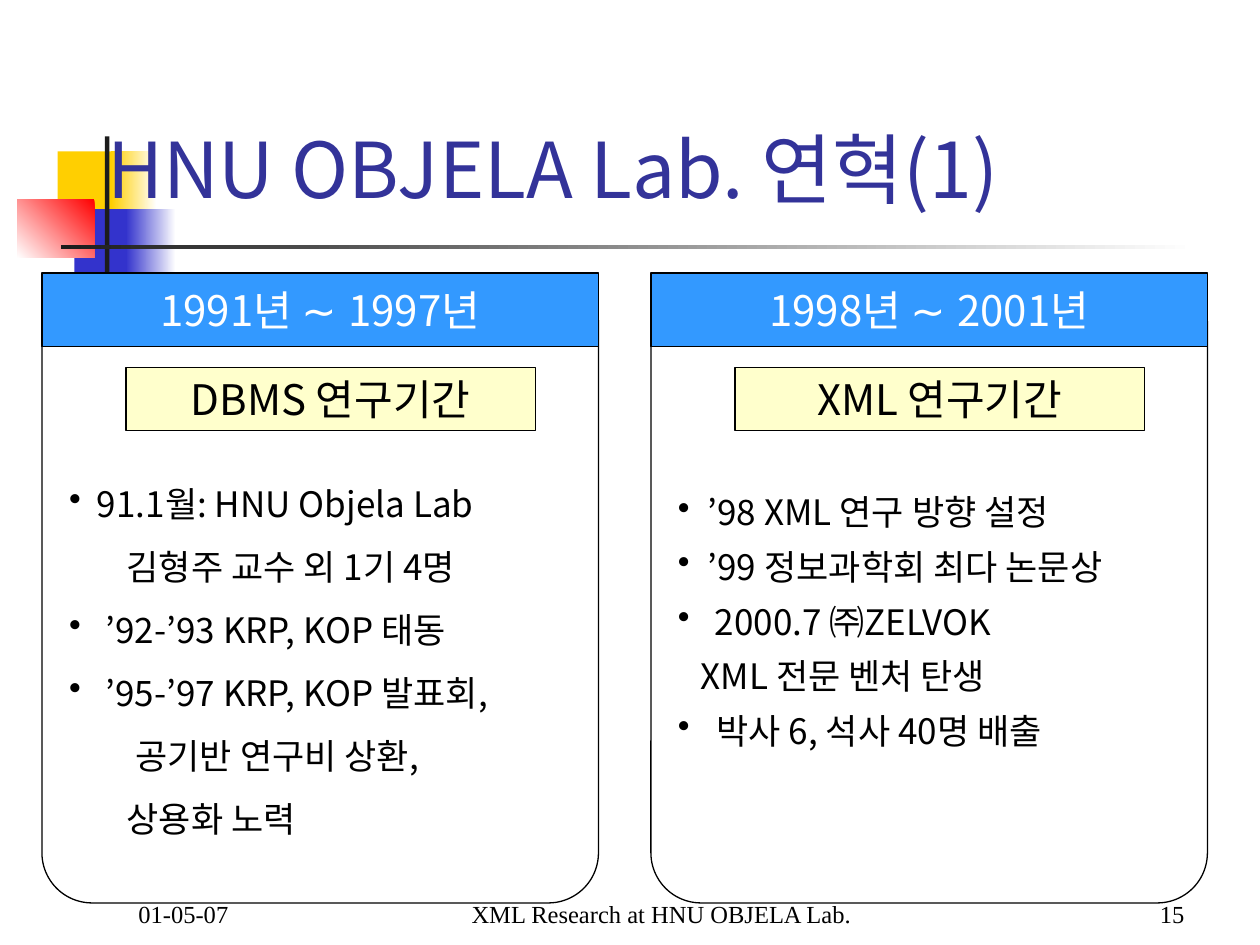
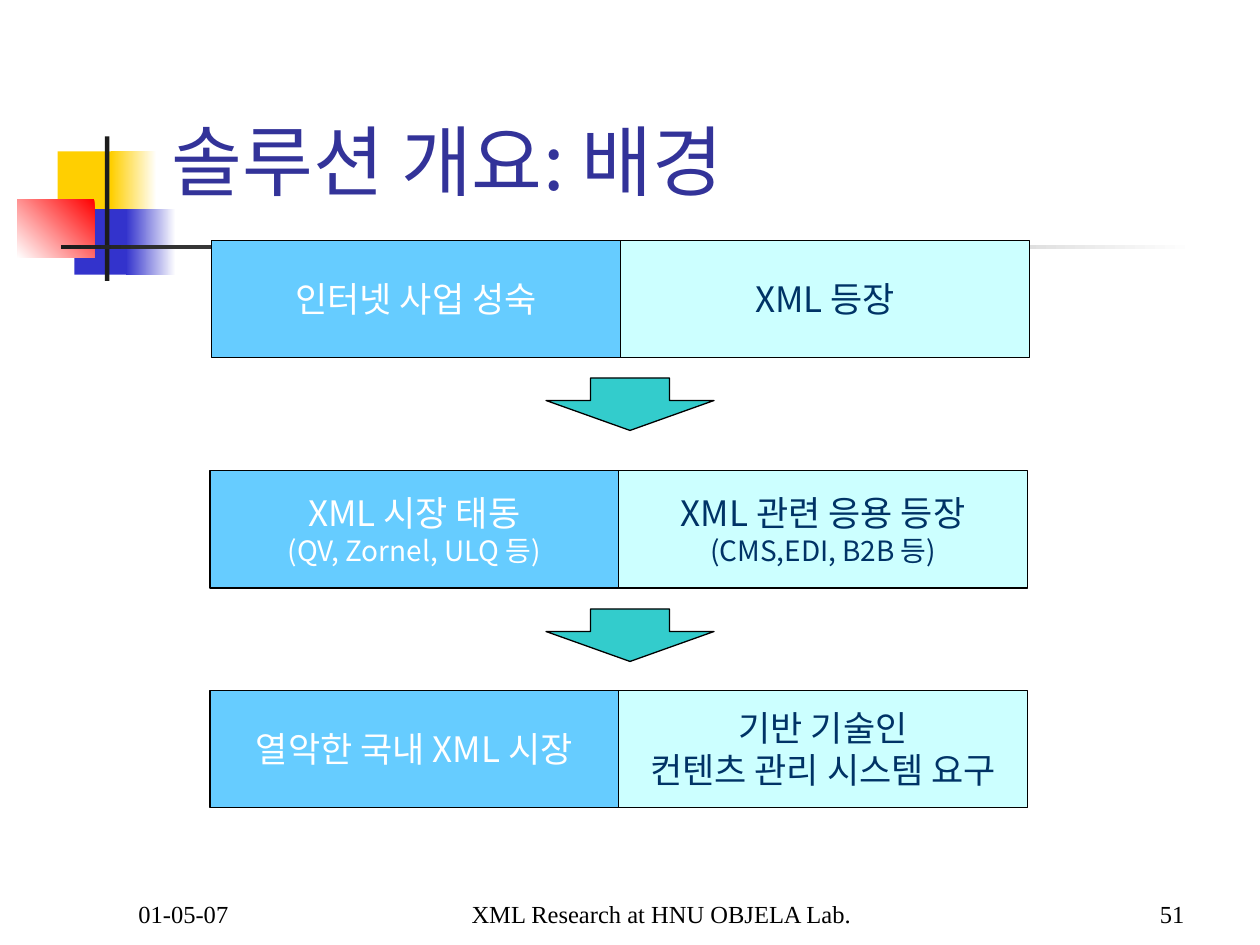
import dataclasses
import typing

import lxml.etree
import pptx
import pptx.dml.color
import pptx.enum.shapes
import pptx.enum.text
import pptx.oxml.ns
import pptx.util

Pt = pptx.util.Pt
Kind = pptx.enum.shapes.MSO_SHAPE
Align = pptx.enum.text.PP_ALIGN
Anchor = pptx.enum.text.MSO_ANCHOR
qn = pptx.oxml.ns.qn


@dataclasses.dataclass(frozen=True)
class Theme:
    sans: str = "Noto Sans CJK KR"
    serif: str = "Times New Roman"
    sign: str = "Arial"
    black: str = "000000"
    white: str = "FFFFFF"
    ink: str = "1C1C1C"
    gold: str = "FFCF01"
    blue: str = "3333CC"
    red: str = "FF0000"
    title: str = "333399"
    head: str = "3399FF"
    cream: str = "FFFFCC"
    sky: str = "66CCFF"
    ice: str = "CCFFFF"
    navy: str = "003366"
    teal: str = "33CCCC"
    huge: float = 44
    large: float = 24
    base: float = 20
    small: float = 16
    foot: float = 14
    edge: float = 0.75


T = Theme()


class Rect(typing.NamedTuple):
    left: float
    top: float
    width: float
    height: float


class Run(typing.NamedTuple):
    text: str
    size: float
    color: str
    font: str = T.sans


@dataclasses.dataclass(frozen=True)
class Line:
    runs: list[Run]
    align: Align = Align.LEFT
    space: float | None = None
    indent: float = 0
    dot: bool = False


@dataclasses.dataclass(frozen=True)
class Block:
    rect: Rect
    start: str
    end: str = ""
    angle: float = 180


@dataclasses.dataclass(frozen=True)
class Item:
    text: str
    indent: float
    dot: bool = True


@dataclasses.dataclass(frozen=True)
class Panel:
    left: float
    years: tuple[str, str]
    topic: str
    inset: float
    space: float
    items: list[Item]


@dataclasses.dataclass(frozen=True)
class Row:
    left: float
    top: float
    cause: list[tuple[str, float]]
    need: list[tuple[str, float]]


DECOR = [
    Block(Rect(33, 86.5, 34.5, 37.5), T.gold),
    Block(Rect(63.5, 86.5, 26, 37.5), T.white, T.gold),
    Block(Rect(42.5, 119.5, 33, 37.5), T.blue),
    Block(Rect(72, 119.5, 28.5, 37.5), T.white, T.blue),
    Block(Rect(10, 113.8, 44, 33.5), T.red, T.white, 225),
    Block(Rect(60, 78, 2.5, 82.5), T.ink),
    Block(Rect(34.8, 140, 648, 2.5), T.white, T.ink),
]

PANELS = [
    Panel(24, ("1991년 ", "1997년"), "DBMS 연구기간", 99.4, 1.5, [
        Item("91.1월: HNU Objela Lab", 16),
        Item("김형주 교수 외 1기 4명", 33, False),
        Item("’92-’93 KRP, KOP 태동", 21),
        Item("’95-’97 KRP, KOP 발표회,", 21),
        Item("공기반 연구비 상환,", 38, False),
        Item("상용화 노력", 33, False),
    ]),
    Panel(372, ("1998년 ", "2001년"), "XML 연구기간", 109, 1.3, [
        Item("’98 XML 연구 방향 설정", 17),
        Item("’99 정보과학회 최다 논문상", 17),
        Item("2000.7 ㈜ZELVOK", 21),
        Item("XML 전문 벤처 탄생", 13, False),
        Item("박사 6, 석사 40명 배출", 22),
    ]),
]

ROWS = [
    Row(121, 137.3, [("인터넷 사업 성숙", T.base)], [("XML 등장", T.base)]),
    Row(120, 269, [("XML 시장 태동", T.base),
                   ("(QV, Zornel, ULQ 등)", T.small)],
        [("XML 관련 응용 등장", T.base), ("(CMS,EDI, B2B 등)", T.small)]),
    Row(120, 394.5, [("열악한 국내 XML 시장", T.base)],
        [("기반 기술인", T.base), ("컨텐츠 관리 시스템 요구", T.base)]),
]


def tint(code: str) -> pptx.dml.color.RGBColor:
    return pptx.dml.color.RGBColor.from_string(code)


def place(shape, rect: Rect) -> None:
    shape.left, shape.top, shape.width, shape.height = map(Pt, rect)


def write(shape, lines: list[Line], anchor: Anchor,
          wrap: bool = True, inset: float = 3.6) -> None:
    frame = shape.text_frame
    frame.auto_size = pptx.enum.text.MSO_AUTO_SIZE.NONE
    frame.word_wrap = wrap
    frame.vertical_anchor = anchor
    frame.margin_left = frame.margin_right = Pt(7.2)
    frame.margin_top, frame.margin_bottom = Pt(inset), Pt(3.6)
    for spot, line in enumerate(lines):
        para = frame.add_paragraph() if spot else frame.paragraphs[0]
        para.alignment = line.align
        para.line_spacing = line.space
        if line.indent:
            props = para._p.get_or_add_pPr()
            props.set("marL", str(Pt(line.indent)))
            props.set("indent", str(-Pt(line.indent) if line.dot else 0))
            if line.dot:
                mark = lxml.etree.SubElement(props, qn("a:buChar"))
                mark.set("char", "•")
        for part in line.runs:
            run = para.add_run()
            run.text = part.text
            run.font.size = Pt(part.size)
            run.font.name = part.font
            run.font.color.rgb = tint(part.color)
    for latin in list(shape.element.iter(qn("a:latin"))):
        east = lxml.etree.Element(qn("a:ea"))
        east.set("typeface", latin.get("typeface"))
        latin.addnext(east)


def draw(slide, kind: Kind, rect: Rect, fill: str, edge: bool = True):
    shape = slide.shapes.add_shape(kind, *map(Pt, rect))
    shape.shadow.inherit = False
    shape.fill.solid()
    shape.fill.fore_color.rgb = tint(fill)
    if edge:
        shape.line.color.rgb = tint(T.black)
        shape.line.width = Pt(T.edge)
    else:
        shape.line.fill.background()
    return shape


def label(slide, rect: Rect, fill: str, rows: list[list[Run]]) -> None:
    box = draw(slide, Kind.RECTANGLE, rect, fill)
    lines = [Line(runs, Align.CENTER) for runs in rows]
    write(box, lines, Anchor.MIDDLE, wrap=False)


def adorn(slide) -> None:
    for block in DECOR:
        shape = draw(slide, Kind.RECTANGLE, block.rect, block.start, False)
        if block.end:
            shape.fill.gradient()
            shape.fill.gradient_angle = block.angle
            for stop, code, spot in zip(shape.fill.gradient_stops,
                                        (block.start, block.end), (0, 1)):
                stop.color.rgb = tint(code)
                stop.position = spot


def begin(deck, text: str, rect: Rect, page: str):
    slide = deck.slides.add_slide(deck.slide_layouts[5])
    adorn(slide)
    title = slide.shapes.title
    title.element.getparent().append(title.element)
    place(title, rect)
    write(title, [Line([Run(text, T.huge, T.title)])], Anchor.BOTTOM)
    for left, width, note, align in (
            (72, 150, "01-05-07", Align.LEFT),
            (234, 288, "XML Research at HNU OBJELA Lab.", Align.CENTER),
            (534, 150, page, Align.RIGHT)):
        box = slide.shapes.add_textbox(*map(Pt, (left, 498, width, 36)))
        run = Run(note, T.foot, T.black, T.serif)
        write(box, [Line([run], align)], Anchor.BOTTOM)
    return slide


def column(slide, panel: Panel) -> None:
    card = draw(slide, Kind.ROUNDED_RECTANGLE,
                Rect(panel.left, 156, 318, 360), T.white)
    card.adjustments[0] = 0.09
    lines = [Line([Run(item.text, T.base, T.black)], space=panel.space,
                  indent=item.indent, dot=item.dot) for item in panel.items]
    write(card, lines, Anchor.TOP, inset=panel.inset)
    first, last = panel.years
    label(slide, Rect(panel.left, 156, 318, 42), T.head, [[
        Run(first, T.large, T.white),
        Run("∼ ", T.large, T.white, T.sign),
        Run(last, T.large, T.white)]])
    label(slide, Rect(panel.left + 48, 210, 234, 36), T.cream,
          [[Run(panel.topic, T.large, T.black)]])


def history(deck) -> None:
    slide = begin(deck, "HNU OBJELA Lab. 연혁(1)",
                  Rect(54, 36, 612, 90), "15")
    for panel in PANELS:
        column(slide, panel)


def outline(deck) -> None:
    slide = begin(deck, "솔루션 개요: 배경", Rect(90.7, 49, 613, 72), "51")
    width, height = 233.6, 67
    for row in ROWS:
        for spot, (texts, fill, ink) in enumerate((
                (row.cause, T.sky, T.white), (row.need, T.ice, T.navy))):
            rect = Rect(row.left + spot * width, row.top, width, height)
            label(slide, rect, fill,
                  [[Run(text, size, ink)] for text, size in texts])
    for top in (216, 348):
        arrow = draw(slide, Kind.DOWN_ARROW, Rect(312, top, 96, 30), T.teal)
        arrow.adjustments[0] = 0.47
        arrow.adjustments[1] = 0.57


def main() -> None:
    deck = pptx.Presentation()
    deck.slide_width, deck.slide_height = Pt(720), Pt(540)
    history(deck)
    outline(deck)
    deck.save("out.pptx")


if __name__ == "__main__":
    main()
